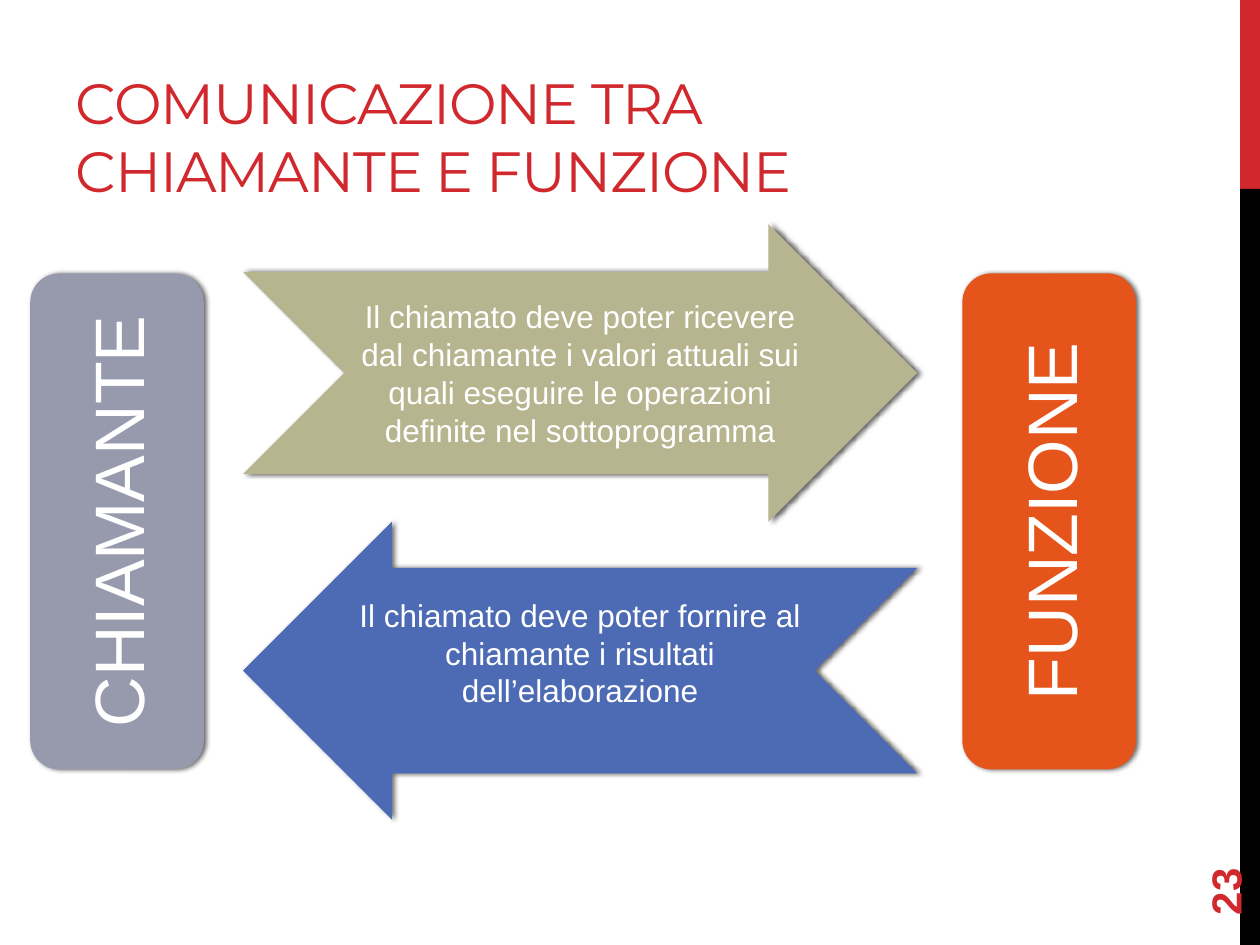
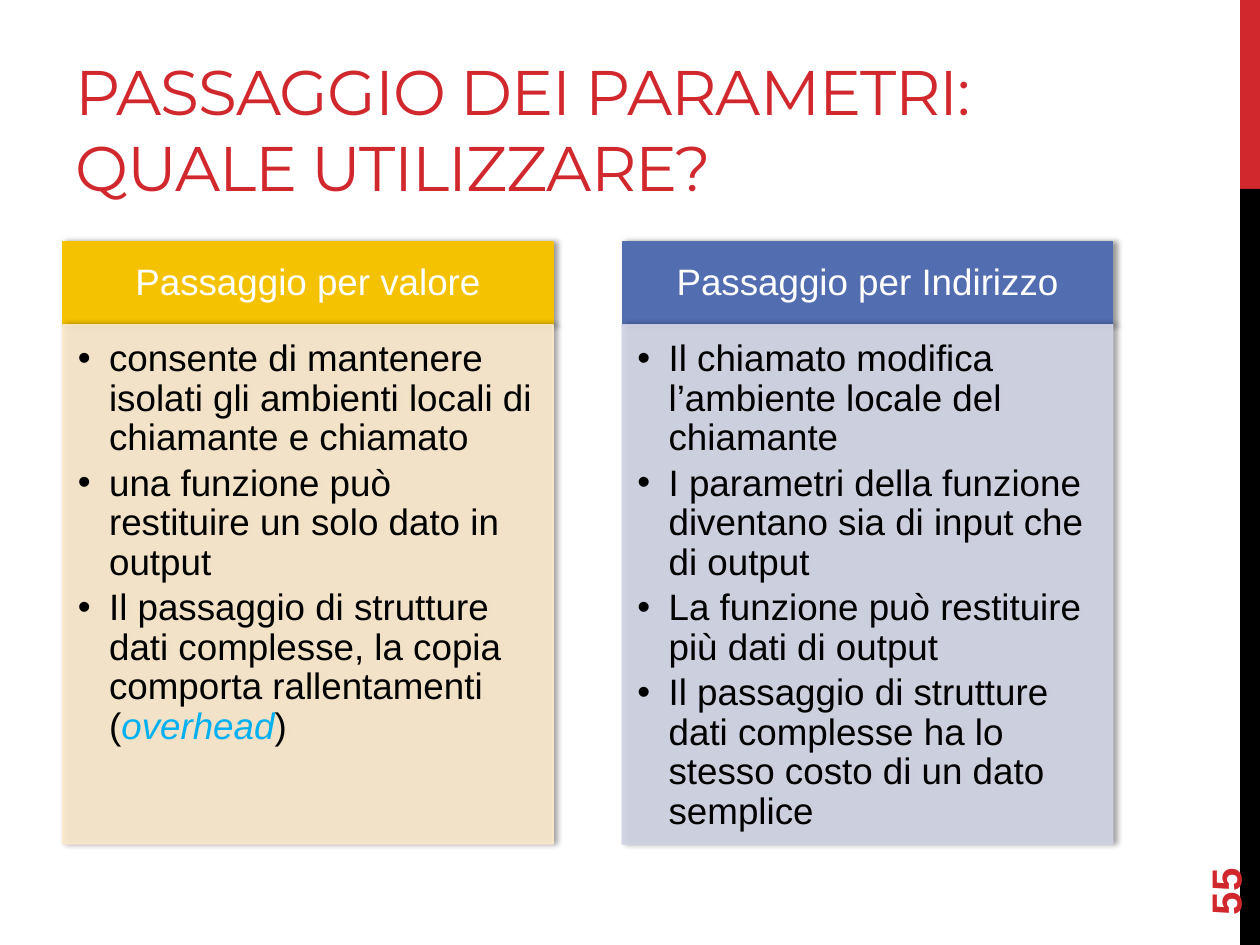
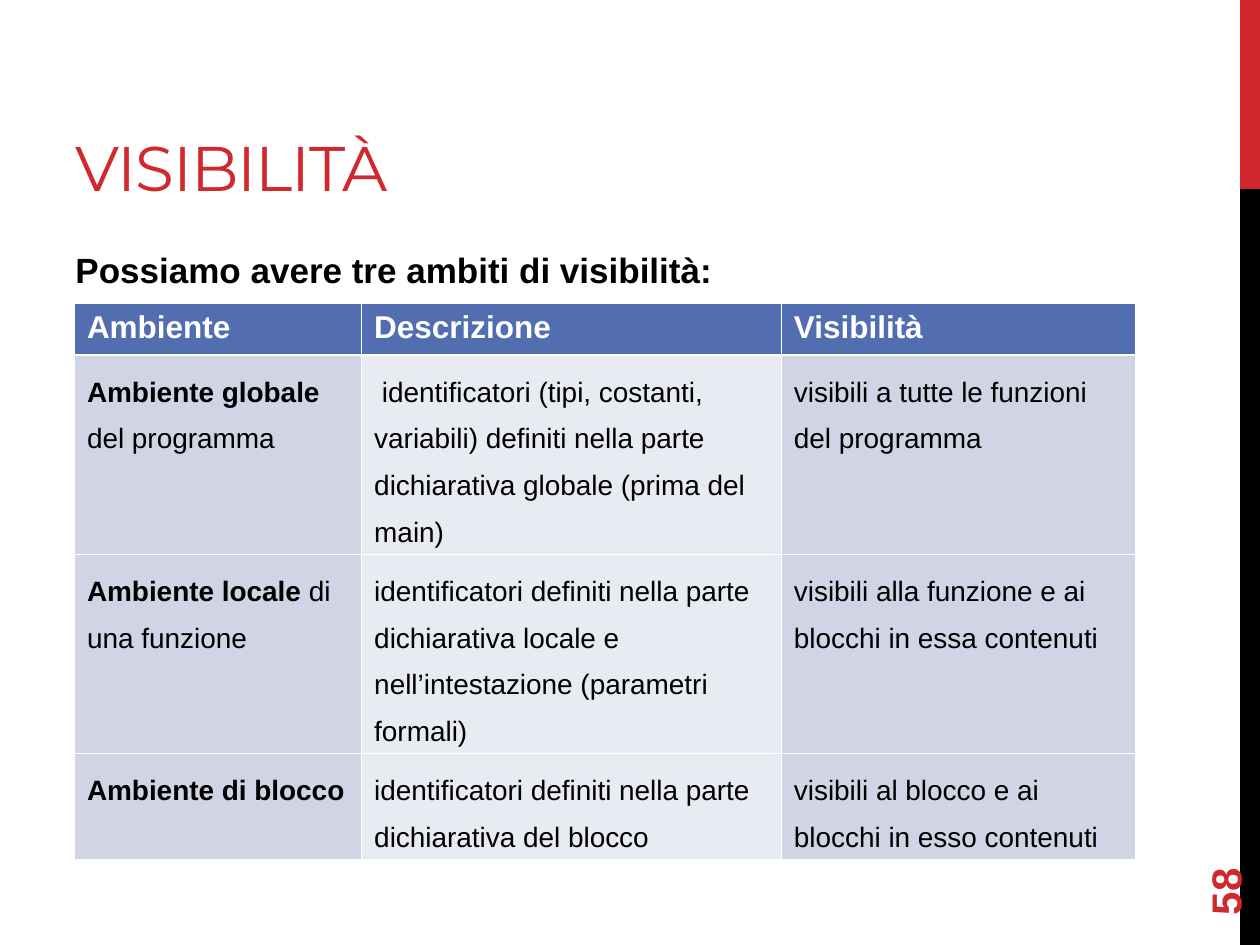
from lxml.etree import SubElement
from pptx import Presentation
from pptx.dml.color import RGBColor
from pptx.enum.shapes import MSO_SHAPE as Shape
from pptx.enum.text import MSO_ANCHOR as Anchor, MSO_AUTO_SIZE as AutoSize, PP_ALIGN as Align
from pptx.oxml.ns import qn
from pptx.util import Cm, Pt

RED, BLACK, WHITE, BLUE, CYAN = "D1282E", "000000", "FFFFFF", "526DB0", "00B0F0"
PALE_BLUE, PALEST_BLUE = "D1D4E4", "E9EBF2"
TITLE_FONT, TEXT_FONT = "Montserrat", "Arial"
TITLE_ONLY, TITLE_AND_BODY = 5, 1
BANDS = [(0, 3.81, RED), (3.81, 15.24, BLACK)]
STRONG_SHADOW, SOFT_SHADOW = (60, 3, 1.5), (40, 3.1, 1.8)

ARROWS = [
    ("Il chiamato deve poter fornire al chiamante i risultati dell’elaborazione",
     10.52, "4D6BB5", 0.69, True, 0.83),
    ("Il chiamato deve poter ricevere dal chiamante i valori attuali sui quali "
     "eseguire le operazioni definite nel sottoprogramma",
     4.52, "B6B590", 0.68, False, 0.1),
]
ACTORS = [("CHIAMANTE", -2.64, "9799AD"), ("FUNZIONE", 16.15, "E5551B")]

COLUMNS = [
    ("Passaggio per valore", "F5C201", "FBE9CC", [
        [("consente di mantenere isolati gli ambienti locali di chiamante e chiamato", {})],
        [("una funzione può restituire un solo dato in output", {})],
        [("Il passaggio di strutture dati complesse, la copia comporta rallentamenti (", {}),
         ("overhead", {"color": CYAN, "italic": True}), (")", {})],
    ]),
    ("Passaggio per Indirizzo", BLUE, PALE_BLUE, [
        [("Il chiamato modifica l’ambiente locale del chiamante", {})],
        [("I parametri della funzione diventano sia di input che di output", {})],
        [("La funzione può restituire più dati di output", {})],
        [("Il passaggio di strutture dati complesse ha lo stesso costo di un dato semplice", {})],
    ]),
]

SCOPE_INTRO = "Possiamo avere tre ambiti di visibilità:"
SCOPE_HEADER = ["Ambiente", "Descrizione", "Visibilità"]
SCOPES = [
    ("Ambiente globale ", "del programma",
     " identificatori (tipi, costanti, variabili) definiti nella parte dichiarativa "
     "globale (prima del main)",
     "visibili a tutte le funzioni del programma"),
    ("Ambiente locale ", "di una funzione",
     "identificatori definiti nella parte dichiarativa locale e nell’intestazione "
     "(parametri formali)",
     "visibili alla funzione e ai blocchi in essa contenuti"),
    ("Ambiente di blocco", "",
     "identificatori definiti nella parte dichiarativa del blocco",
     "visibili al blocco e ai blocchi in esso contenuti"),
]
SCOPE_WIDTHS, SCOPE_HEIGHTS = [5.79, 8.46, 7.14], [1.04, 4.01, 4.01, 2.1]


def rgb(color):
    return RGBColor.from_string(color)


def add_span(para, text, size, color=BLACK, font=TEXT_FONT, bold=False, italic=False):
    span = para.add_run()
    span.text = text
    span.font.name, span.font.size = font, Pt(size)
    span.font.bold, span.font.italic = bold, italic
    span.font.color.rgb = rgb(color)
    return span


def set_frame(box, anchor, insets=(0.25, 0.13, 0.25, 0.13)):
    frame = box.text_frame
    frame.word_wrap, frame.auto_size = True, AutoSize.NONE
    frame.vertical_anchor = anchor
    (frame.margin_left, frame.margin_top,
     frame.margin_right, frame.margin_bottom) = map(Cm, insets)
    return frame


def place(box, left, top, width, height):
    box.left, box.top, box.width, box.height = map(Cm, (left, top, width, height))


def add_block(page, kind, area, color, outlined=False, shadow=None):
    block = page.shapes.add_shape(kind, *map(Cm, area))
    block.fill.solid()
    block.fill.fore_color.rgb = rgb(color)
    block.shadow.inherit = False
    if outlined:
        block.line.color.rgb = rgb(color)
        block.line.width = Pt(1)
    else:
        block.line.fill.background()
    if shadow:
        alpha, blur, distance = shadow
        effects = block._element.spPr.find(qn("a:effectLst"))
        outer = SubElement(effects, qn("a:outerShdw"), blurRad=str(Pt(blur)),
                           dist=str(Pt(distance)), dir="0", rotWithShape="0")
        tint = SubElement(outer, qn("a:srgbClr"), val=BLACK)
        SubElement(tint, qn("a:alpha"), val=str(alpha * 1000))
    return block


def make_translucent(block, percent):
    for tint in block._element.spPr.iter(qn("a:srgbClr")):
        if tint.getparent().tag == qn("a:solidFill"):
            SubElement(tint, qn("a:alpha"), val=str(percent * 1000))


def add_centred(block, text, size, insets):
    para = set_frame(block, Anchor.MIDDLE, insets).paragraphs[0]
    para.alignment = Align.CENTER
    add_span(para, text, size, WHITE)
    return para


def set_bullet(para):
    props = para._p.get_or_add_pPr()
    props.set("marL", str(Cm(0.63)))
    props.set("indent", str(-Cm(0.63)))
    SubElement(props, qn("a:buFont"), typeface=TEXT_FONT)
    SubElement(props, qn("a:buChar"), char="•")


def add_page(deck, layout, title, number, title_width=16.08, title_size=36):
    page = deck.slides.add_slide(deck.slide_layouts[layout])
    heading = page.shapes.title
    place(heading, 1.27, 0.43, title_width, 3.81)
    para = set_frame(heading, Anchor.BOTTOM).paragraphs[0]
    para.alignment = Align.LEFT
    span = add_span(para, title, title_size, RED, TITLE_FONT)
    span.font._element.set("spc", "-60")
    box = page.shapes.add_textbox(*map(Cm, (22.86, 16.36, 3.66, 1.02)))
    box.rotation = 270
    add_span(set_frame(box, Anchor.MIDDLE).paragraphs[0], number, 24, RED, bold=True)
    return page


def add_bands(deck, page):
    for top, height, color in BANDS:
        band = add_block(page, Shape.RECTANGLE, (25, top, 0.4, height), color)
        deck.slide_master.shapes._spTree.append(band._element)


def draw_exchange(page):
    for text, top, color, notch, flipped, bottom in ARROWS:
        arrow = add_block(page, Shape.NOTCHED_RIGHT_ARROW, (4.9, top, 13.59, 6), color,
                          shadow=STRONG_SHADOW)
        arrow.adjustments[0], arrow.adjustments[1] = notch, 0.5
        if flipped:
            arrow._element.spPr.xfrm.set("flipH", "1")
        add_centred(arrow, text, 18, (0.1, 0.1, 0.1, bottom))
    for text, left, color in ACTORS:
        actor = add_block(page, Shape.ROUNDED_RECTANGLE, (left, 8.76, 10, 3.5), color,
                          shadow=STRONG_SHADOW)
        actor.rotation = 270
        add_centred(actor, text, 40, (0.25, 0.13, 0.25, 0.13))


def draw_columns(page):
    for index, (heading, color, pale, points) in enumerate(COLUMNS):
        left = 1.27 + index * 11.28
        header = add_block(page, Shape.RECTANGLE, (left, 4.88, 9.88, 1.68), color, True, SOFT_SHADOW)
        add_centred(header, heading, 21, (0.41, 0.23, 0.41, 0.23)).line_spacing = 0.9
        panel = add_block(page, Shape.RECTANGLE, (left, 6.55, 9.88, 10.46), pale, True, SOFT_SHADOW)
        make_translucent(panel, 90)
        frame = set_frame(panel, Anchor.TOP, (0.3, 0.3, 0.41, 0.46))
        for order, point in enumerate(points):
            para = frame.add_paragraph() if order else frame.paragraphs[0]
            para.alignment = Align.LEFT
            para.line_spacing, para.space_after = 0.9, Pt(3.15)
            set_bullet(para)
            for text, style in point:
                add_span(para, text, 21, **style)


def draw_scopes(page):
    body = page.placeholders[1]
    place(body, 1.27, 4.88, 21.16, 12.14)
    para = set_frame(body, Anchor.TOP).paragraphs[0]
    para.space_before, para.space_after = Pt(4), Pt(6)
    props = para._p.get_or_add_pPr()
    props.set("marL", "0")
    props.set("indent", "0")
    SubElement(props, qn("a:buNone"))
    add_span(para, SCOPE_INTRO, 20, bold=True)

    area = (1.5, 6.12, sum(SCOPE_WIDTHS), sum(SCOPE_HEIGHTS))
    table = page.shapes.add_table(len(SCOPES) + 1, len(SCOPE_HEADER), *map(Cm, area)).table
    table.horz_banding = False
    for column, width in zip(table.columns, SCOPE_WIDTHS):
        column.width = Cm(width)
    for row, height in zip(table.rows, SCOPE_HEIGHTS):
        row.height = Cm(height)
    rows = [[[(text, True)] for text in SCOPE_HEADER]]
    for name, rest, description, visibility in SCOPES:
        rows.append([[(name, True), (rest, False)], [(description, False)], [(visibility, False)]])
    for row, entries in enumerate(rows):
        for column, spans in enumerate(entries):
            cell = table.cell(row, column)
            cell.fill.solid()
            pale = PALEST_BLUE if column == 1 else PALE_BLUE
            cell.fill.fore_color.rgb = rgb(pale if row else BLUE)
            para = cell.text_frame.paragraphs[0]
            if row:
                para.line_spacing = 1.5
            for text, bold in spans:
                if text:
                    add_span(para, text, 16 if row else 18, BLACK if row else WHITE, bold=bold)


def main():
    """Build the three slides on functions, parameters and visibility."""
    deck = Presentation()
    deck.slide_width, deck.slide_height = Cm(25.4), Cm(19.05)
    exchange = add_page(deck, TITLE_ONLY, "COMUNICAZIONE TRA CHIAMANTE E FUNZIONE", "23",
                        title_size=32.4)
    add_bands(deck, exchange)
    draw_exchange(exchange)
    draw_columns(add_page(deck, TITLE_ONLY, "PASSAGGIO DEI PARAMETRI: QUALE UTILIZZARE?", "55",
                          title_width=20.42))
    draw_scopes(add_page(deck, TITLE_AND_BODY, "VISIBILITÀ", "58"))
    deck.save("out.pptx")


if __name__ == "__main__":
    main()
